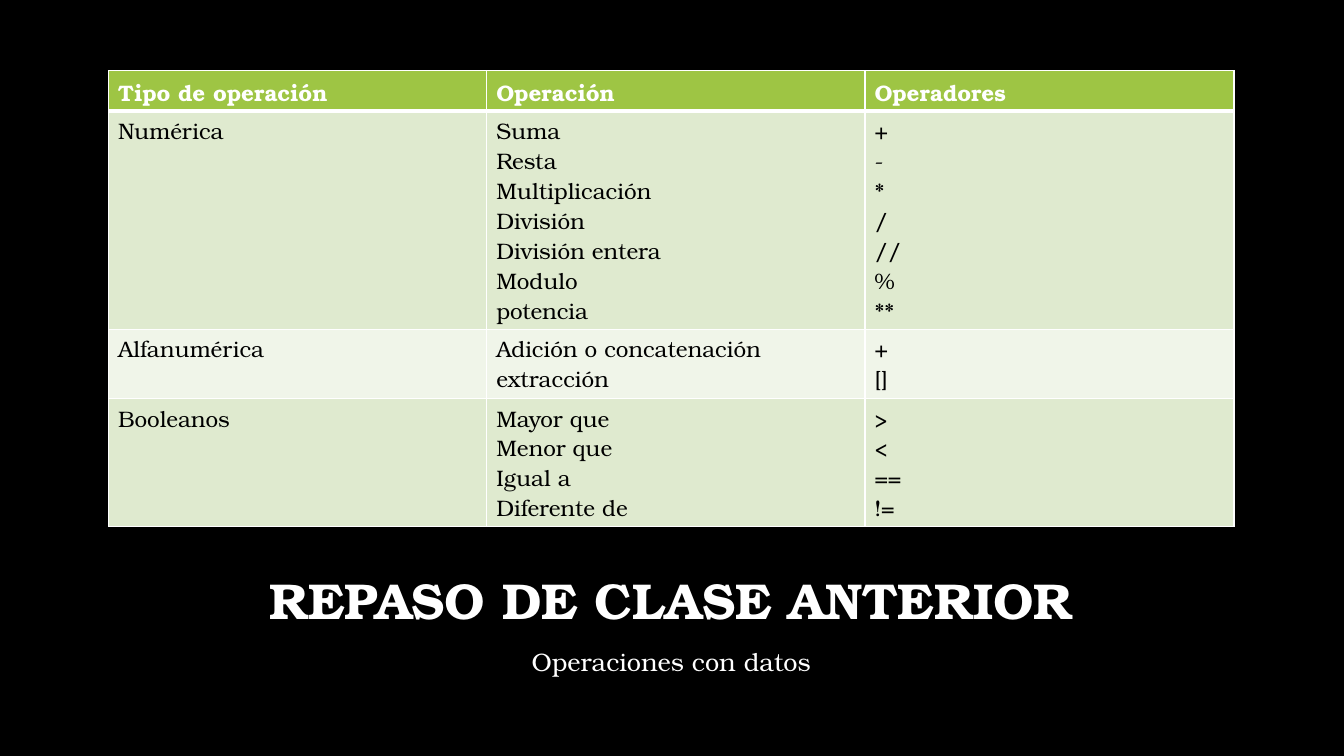
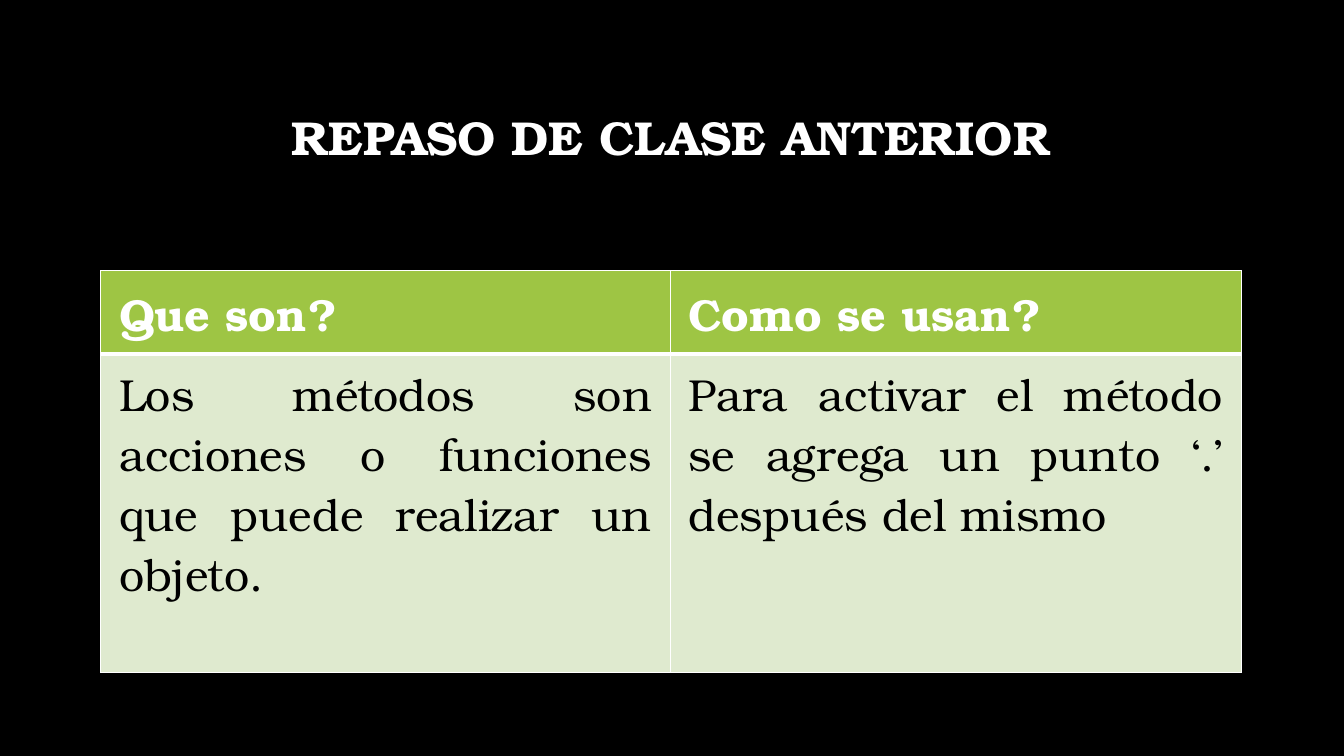
from lxml.etree import SubElement
from pptx import Presentation
from pptx.dml.color import RGBColor
from pptx.enum.text import MSO_ANCHOR, PP_ALIGN
from pptx.oxml.ns import qn
from pptx.util import Cm, Pt

COLORS = {
    "background": "000000",
    "light": "FFFFFF",
    "dark": "000000",
    "header": "9EC544",
    "band": "DFEACF",
    "alternate": "F0F5E9",
}
FONT = "TeX Gyre Bonum"
HEADING = "REPASO DE CLASE ANTERIOR"
MARGIN, CONTENT_WIDTH = 2.54, 28.75

OPERATIONS = [
    ("Tipo de operación", "Operación", "Operadores"),
    (
        "Numérica",
        "Suma\nResta\nMultiplicación\nDivisión\nDivisión entera\nModulo\npotencia",
        "+\n-\n*\n/\n//\n%\n**",
    ),
    ("Alfanumérica", "Adición o concatenación\nextracción", "+\n[]"),
    ("Booleanos", "Mayor que\nMenor que\nIgual a\nDiferente de", ">\n<\n==\n!="),
]
METHODS = [
    ("Que son?", "Como se usan?"),
    (
        "Los métodos son acciones o funciones que puede realizar un objeto.",
        "Para activar el método se agrega un punto ‘.’ después del mismo",
    ),
]


def rgb(name):
    return RGBColor.from_string(COLORS[name])


def write(frame, text, size, color="light", bold=False, align=PP_ALIGN.LEFT,
          spacing=None, before=None):
    frame.word_wrap = True
    for index, line in enumerate(text.split("\n")):
        paragraph = frame.add_paragraph() if index else frame.paragraphs[0]
        paragraph.alignment = align
        paragraph.line_spacing = spacing
        paragraph.space_before = before
        run = paragraph.add_run()
        run.text = line
        run.font.name = FONT
        run.font.size = Pt(size)
        run.font.bold = bold
        run.font.color.rgb = rgb(color)


def add_slide(deck):
    slide = deck.slides.add_slide(deck.slide_layouts[6])
    slide.background.fill.solid()
    slide.background.fill.fore_color.rgb = rgb("background")
    return slide


def add_text(slide, text, top, height, anchor=MSO_ANCHOR.TOP, **text_format):
    box = slide.shapes.add_textbox(Cm(MARGIN), Cm(top), Cm(CONTENT_WIDTH), Cm(height))
    box.text_frame.vertical_anchor = anchor
    write(box.text_frame, text, align=PP_ALIGN.CENTER, **text_format)


def add_heading(slide, top, height, size, anchor):
    add_text(slide, HEADING, top, height, anchor, size=size, bold=True, spacing=0.9)


def set_borders(cell, top, bottom):
    properties = cell._tc.get_or_add_tcPr()
    for side, width in (("L", 1), ("R", 1), ("T", top), ("B", bottom)):
        line = SubElement(properties, qn(f"a:ln{side}"), w=str(Pt(width)))
        fill = SubElement(line, qn("a:solidFill"))
        SubElement(fill, qn("a:srgbClr"), val=COLORS["light"])


def format_cell(cell, text, row, size, inset, align):
    is_header = row == 0
    cell.margin_left = cell.margin_right = Cm(inset)
    cell.margin_top = cell.margin_bottom = Cm(inset / 2)
    set_borders(cell, top=3 if row == 1 else 1, bottom=3 if is_header else 1)
    cell.fill.solid()
    band = "band" if row % 2 else "alternate"
    cell.fill.fore_color.rgb = rgb("header" if is_header else band)
    write(cell.text_frame, text, size, color="light" if is_header else "dark",
          bold=is_header, align=PP_ALIGN.LEFT if is_header else align)


def add_grid(slide, content, left, top, widths, heights, size, inset,
             align=PP_ALIGN.LEFT):
    table = slide.shapes.add_table(
        len(heights), len(widths), Cm(left), Cm(top), Cm(sum(widths)), Cm(sum(heights))
    ).table
    for column, width in zip(table.columns, widths):
        column.width = Cm(width)
    for row, (texts, height) in enumerate(zip(content, heights)):
        table.rows[row].height = Cm(height)
        for column, text in enumerate(texts):
            format_cell(table.cell(row, column), text, row, size, inset, align)


def build_operations(deck):
    slide = add_slide(deck)
    add_heading(slide, 13.39, 2.62, 36, MSO_ANCHOR.BOTTOM)
    add_text(slide, "Operaciones con datos", 16, 1.4, size=18, spacing=1.2, before=Pt(10))
    add_grid(slide, OPERATIONS, 2.74, 1.78, [9.53, 9.53, 9.3],
             [1.02, 5.5, 1.74, 3.22], size=16, inset=0.24)


def build_methods(deck):
    slide = add_slide(deck)
    add_heading(slide, 1.7, 3.68, 34, MSO_ANCHOR.MIDDLE)
    add_grid(slide, METHODS, MARGIN, 6.82, [14.35, 14.4], [2.1, 8.02],
             size=32, inset=0.46, align=PP_ALIGN.JUSTIFY)


def main():
    deck = Presentation()
    deck.slide_width, deck.slide_height = Cm(33.87), Cm(19.05)
    build_operations(deck)
    build_methods(deck)
    deck.save("out.pptx")


if __name__ == "__main__":
    main()
